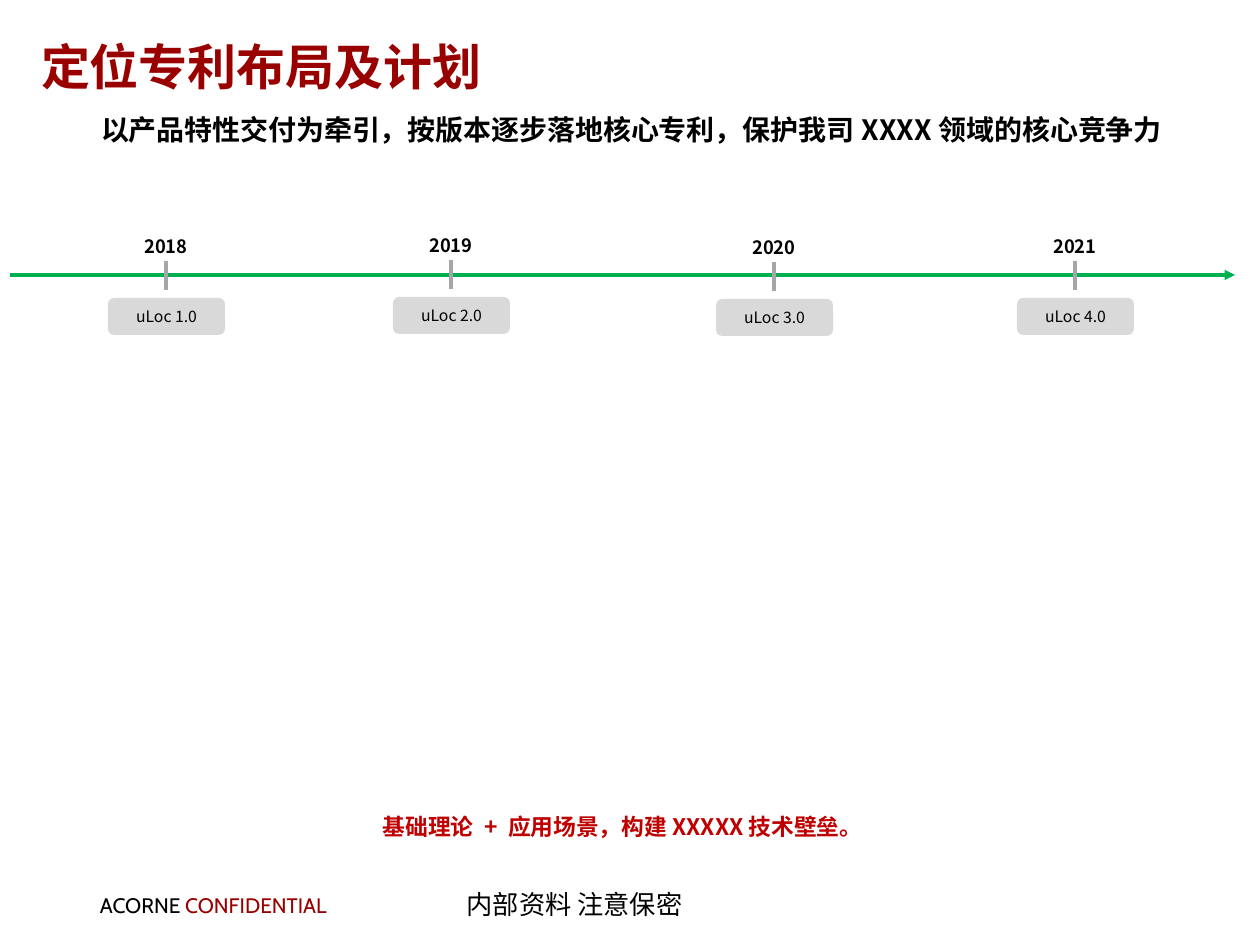
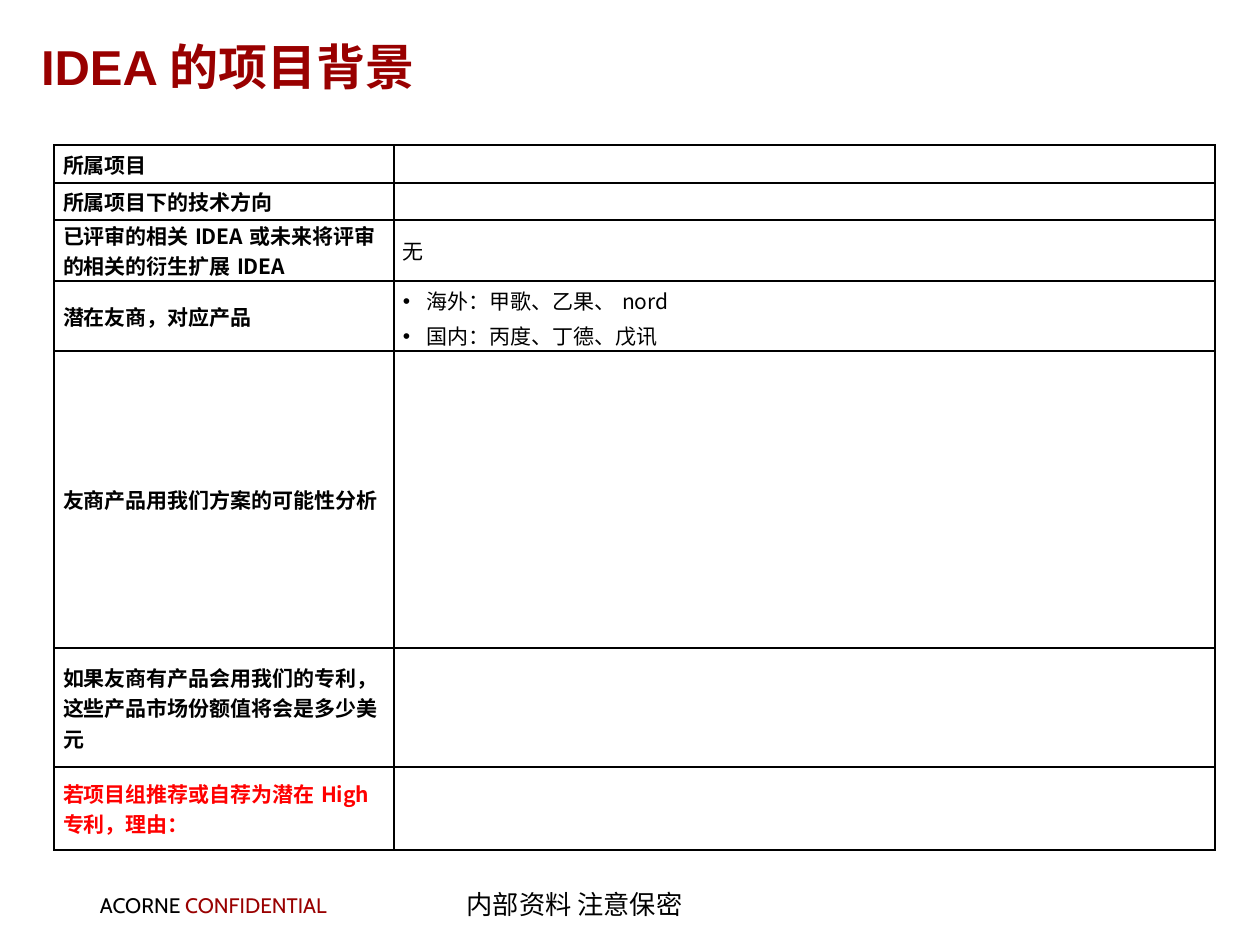
from lxml.etree import SubElement
from pptx import Presentation
from pptx.dml.color import RGBColor
from pptx.enum.shapes import MSO_CONNECTOR, MSO_SHAPE
from pptx.enum.text import MSO_ANCHOR, PP_ALIGN
from pptx.oxml.ns import qn
from pptx.util import Emu, Pt

SCALE = 914400 / 126
BLACK, MAROON, RED = "000000", "990000", "FF0000"
CRIMSON, GREEN, GREY, SILVER = "C00000", "00B050", "A6A6A6", "D9D9D9"
NOTO, ARIAL, CABIN = "Noto Sans CJK SC", "Arial", "Cabin"
SLIM = (11, 5, 11, 5)

STAGES = [
    ("2018", "uLoc 1.0", 166, 262),
    ("2019", "uLoc 2.0", 451, 261),
    ("2020", "uLoc 3.0", 774, 263),
    ("2021", "uLoc 4.0", 1075, 262),
]
ROWS = [
    (38, "所属项目", []),
    (37, "所属项目下的技术方向", []),
    (61, "已评审的相关IDEA或未来将评审的相关的衍生扩展IDEA", ["无"]),
    (70, "潜在友商，对应产品", ["海外：甲歌、乙果、nord", "国内：丙度、丁德、戊讯"]),
    (297, "友商产品用我们方案的可能性分析", []),
    (119, "如果友商有产品会用我们的专利，这些产品市场份额值将会是多少美元", []),
    (83, "若项目组推荐或自荐为潜在High专利，理由：", []),
]


def px(n):
    return Emu(round(n * SCALE))


def box(*nums):
    return [px(n) for n in nums]


def color(code):
    return RGBColor.from_string(code)


def write(para, text, size=12, font=NOTO, ink=BLACK, bold=False, align=PP_ALIGN.LEFT):
    para.alignment = align
    run = para.add_run()
    run.text = text
    run.font.size = Pt(size)
    run.font.name = font
    run.font.bold = bold
    run.font.color.rgb = color(ink)
    SubElement(run.font._element, qn("a:ea"), typeface=NOTO)


def frame(shape, pad=None, anchor=MSO_ANCHOR.TOP, wrap=True):
    body = shape.text_frame
    body.word_wrap = wrap
    body.vertical_anchor = anchor
    if pad:
        body.margin_left, body.margin_top, body.margin_right, body.margin_bottom = box(*pad)
    return body.paragraphs[0]


def label(slide, area, text, pad=None, anchor=MSO_ANCHOR.TOP, wrap=True, **form):
    para = frame(slide.shapes.add_textbox(*box(*area)), pad, anchor, wrap)
    write(para, text, **form)
    return para


def line(slide, ends, ink, width, arrow=False):
    link = slide.shapes.add_connector(MSO_CONNECTOR.STRAIGHT, *box(*ends))
    link.line.color.rgb = color(ink)
    link.line.width = Pt(width)
    if arrow:
        SubElement(link.line._get_or_add_ln(), qn("a:tailEnd"), type="triangle")
    SubElement(link._element.spPr, qn("a:effectLst"))


def badge(slide, area, text):
    shape = slide.shapes.add_shape(MSO_SHAPE.ROUNDED_RECTANGLE, *box(*area))
    shape.shadow.inherit = False
    shape.fill.solid()
    shape.fill.fore_color.rgb = color(SILVER)
    shape.line.fill.background()
    para = frame(shape, (10, 5, 10, 5), MSO_ANCHOR.MIDDLE)
    write(para, text, size=9, align=PP_ALIGN.CENTER)


def page(deck, title):
    slide = deck.slides.add_slide(deck.slide_layouts[6])
    mark = label(slide, (89, 888, 266, 35), "ACORNE ", pad=SLIM, wrap=False, font=CABIN)
    write(mark, "CONFIDENTIAL", font=CABIN, ink=MAROON)
    label(slide, (383, 883, 383, 43), "内部资料 注意保密", pad=SLIM,
          size=15, font=ARIAL, align=PP_ALIGN.CENTER)
    label(slide, (30, -24, 1305, 179), title, pad=SLIM, anchor=MSO_ANCHOR.MIDDLE,
          size=28, font=ARIAL, ink=MAROON, bold=True)
    return slide


def stage(slide, year, name, mid, top):
    line(slide, (mid, top - 1, mid, top + 28), GREY, 2)
    badge(slide, (mid - 58, top + 36, 117, 37), name)
    label(slide, (mid - 54, top - 33, 108, 35), year,
          size=10.5, bold=True, align=PP_ALIGN.CENTER)


def bullet(para):
    para.line_spacing = Pt(20)
    props = para._p.get_or_add_pPr()
    props.set("marL", str(px(24)))
    props.set("indent", str(-px(24)))
    SubElement(props, qn("a:buFont"), typeface=ARIAL)
    SubElement(props, qn("a:buChar"), char="•")


def border(cell):
    props = cell._tc.get_or_add_tcPr()
    for side in ("lnL", "lnR", "lnT", "lnB"):
        edge = SubElement(props, qn("a:" + side), w=str(Pt(1)))
        fill = SubElement(edge, qn("a:solidFill"))
        SubElement(fill, qn("a:srgbClr"), val=BLACK)


def fill_cell(cell, lines, **form):
    border(cell)
    cell.fill.background()
    cell.vertical_anchor = MSO_ANCHOR.MIDDLE
    cell.margin_left = cell.margin_right = px(9)
    cell.margin_top = cell.margin_bottom = 0
    body = cell.text_frame
    for i, text in enumerate(lines):
        para = body.add_paragraph() if i else body.paragraphs[0]
        write(para, text, **form)
        if len(lines) > 1:
            bullet(para)
    if not lines:
        SubElement(body.paragraphs[0]._p, qn("a:endParaRPr"), sz="1200")


def grid(slide):
    widths = (340, 821)
    total = sum(row[0] for row in ROWS)
    table = slide.shapes.add_table(
        len(ROWS), 2, *box(54, 145, sum(widths), total)).table
    table.first_row = table.horz_banding = False
    for col, width in zip(table.columns, widths):
        col.width = px(width)
    for i, (height, head, lines) in enumerate(ROWS):
        table.rows[i].height = px(height)
        ink = RED if i == len(ROWS) - 1 else BLACK
        fill_cell(table.cell(i, 0), [head], bold=True, ink=ink)
        fill_cell(table.cell(i, 1), lines)


def main():
    deck = Presentation()
    deck.slide_width, deck.slide_height = box(1260, 945)

    plan = page(deck, "定位专利布局及计划")
    label(plan, (-45, 106, 1353, 47),
          "以产品特性交付为牵引，按版本逐步落地核心专利，保护我司XXXX领域的核心竞争力",
          size=16, bold=True, align=PP_ALIGN.CENTER)
    line(plan, (10, 275, 1235, 275), GREEN, 1.75, arrow=True)
    for item in STAGES:
        stage(plan, *item)
    label(plan, (79, 807, 1087, 40), "基础理论 + 应用场景，构建XXXXX技术壁垒。",
          size=13, ink=CRIMSON, bold=True, align=PP_ALIGN.CENTER)

    grid(page(deck, "IDEA的项目背景"))
    deck.save("out.pptx")


if __name__ == "__main__":
    main()
